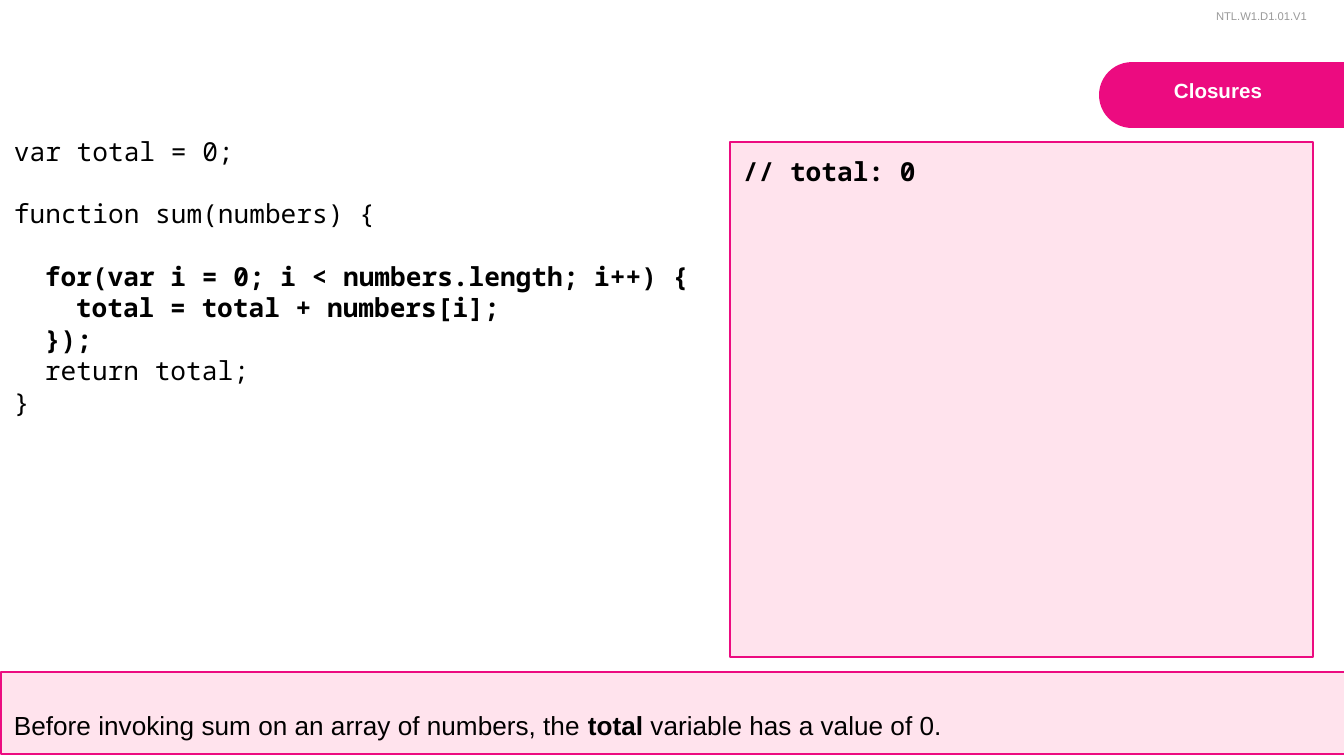
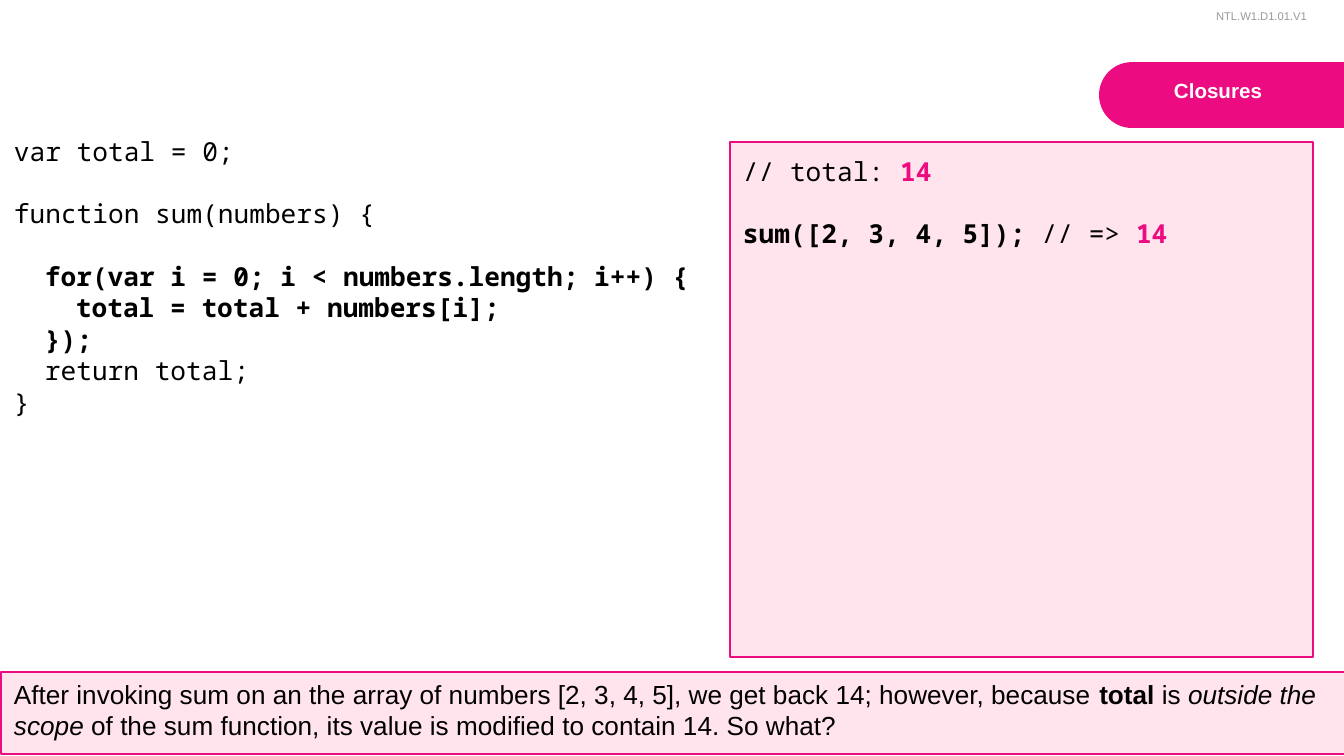
from typing import NamedTuple

from lxml.etree import SubElement
from pptx import Presentation
from pptx.dml.color import RGBColor
from pptx.enum.shapes import MSO_SHAPE as Shape
from pptx.enum.text import MSO_ANCHOR as Anchor, MSO_AUTO_SIZE as AutoSize, PP_ALIGN as Align
from pptx.oxml.ns import qn
from pptx.util import Emu, Pt

PINK = RGBColor(0xEC, 0x0B, 0x80)
TINT = RGBColor(0xFF, 0x7C, 0xAD)
BLACK = RGBColor(0, 0, 0)
GREY = RGBColor(0x99, 0x99, 0x99)
WHITE = RGBColor(0xFF, 0xFF, 0xFF)
SANS, MONO = "Arial", "Noto Sans Mono"
BODY_SIZE = 14
BLANK_LINE = Pt(16.8)
TINT_OPACITY = 21000
SLIDE_BOX = (0, 0, 1344, 756)
INSET = 13
INDENT_STEP = 31


class Run(NamedTuple):
    """A stretch of text in one style."""
    text: str
    bold: bool = False
    italic: bool = False
    color: RGBColor = BLACK


class Line(NamedTuple):
    """A paragraph with its indent depth and whether a gap precedes it."""
    runs: list
    depth: int = 0
    gap: bool = False


class Step(NamedTuple):
    """The content that changes from slide to slide."""
    console: list
    caption: list
    code_height: int


CODE = [
    Line([Run("var total = 0;")]),
    Line([Run("function sum(numbers) {")], gap=True),
    Line([Run("for(var i = 0; i < numbers.length; i++) {", bold=True)], depth=1, gap=True),
    Line([Run("total = total + numbers[i];", bold=True)], depth=2),
    Line([Run("});", bold=True)], depth=1),
    Line([Run("return total;")], depth=1),
    Line([Run("}")]),
]

STEPS = [
    Step(
        console=[Line([Run("// total: 0", bold=True)])],
        caption=[
            Run("Before invoking sum on an array of numbers, the "),
            Run("total", bold=True),
            Run(" variable has a value of 0."),
        ],
        code_height=407,
    ),
    Step(
        console=[
            Line([Run("// total: "), Run("14", bold=True, color=PINK)]),
            Line([Run("sum([2, 3, 4, 5]); ", bold=True), Run("// => "),
                  Run("14", bold=True, color=PINK)], gap=True),
        ],
        caption=[
            Run("After invoking sum on an the array of numbers [2, 3, 4, 5], "
                "we get back 14; however, because "),
            Run("total", bold=True),
            Run(" is "),
            Run("outside the scope", italic=True),
            Run(" of the sum function, its value is modified to contain 14. So what?"),
        ],
        code_height=503,
    ),
]


def px(length):
    """Turn pixels into EMU."""
    return Emu(round(length * 9144000 / SLIDE_BOX[2]))


def write(frame, lines, font=SANS, size=BODY_SIZE, align=Align.LEFT, anchor=Anchor.TOP):
    """Fill a text frame with styled lines."""
    frame.word_wrap = True
    frame.vertical_anchor = anchor
    frame.margin_left = frame.margin_right = px(INSET)
    frame.margin_top = frame.margin_bottom = px(INSET)
    for number, line in enumerate(lines):
        paragraph = frame.add_paragraph() if number else frame.paragraphs[0]
        paragraph.alignment = align
        if line.gap:
            paragraph.space_before = BLANK_LINE
        if line.depth:
            properties = paragraph._p.get_or_add_pPr()
            properties.set("marL", str(px(line.depth * INDENT_STEP)))
            properties.set("indent", "0")
        for part in line.runs:
            run = paragraph.add_run()
            run.text = part.text
            run.font.name = font
            run.font.size = Pt(size)
            run.font.bold = part.bold
            run.font.italic = part.italic
            run.font.color.rgb = part.color


def add_label(slide, box, lines, **style):
    """Place bare text that grows with its content."""
    frame = slide.shapes.add_textbox(*map(px, box)).text_frame
    write(frame, lines, **style)
    frame.auto_size = AutoSize.SHAPE_TO_FIT_TEXT
    return frame


def add_panel(slide, box, lines, **style):
    """Place a tinted, outlined panel with text."""
    panel = slide.shapes.add_shape(Shape.RECTANGLE, *map(px, box))
    panel.shadow.inherit = False
    panel.fill.solid()
    panel.fill.fore_color.rgb = TINT
    tint = panel.fill._xPr.find(qn("a:solidFill"))[0]
    SubElement(tint, qn("a:alpha"), val=str(TINT_OPACITY))
    panel.line.color.rgb = PINK
    panel.line.width = Pt(0.75)
    write(panel.text_frame, lines, **style)


def add_title_tab(slide, box):
    """Draw the tab, rounded on its left, with the topic title."""
    left, top, width, height = box
    shift = (width - height) // 2
    tab = slide.shapes.add_shape(
        Shape.ROUND_2_SAME_RECTANGLE,
        *map(px, (left + shift, top - shift, height, width)))
    tab.rotation = 270
    tab.adjustments[0], tab.adjustments[1] = 0.5, 0
    tab.shadow.inherit = False
    tab.fill.solid()
    tab.fill.fore_color.rgb = PINK
    tab.line.fill.background()
    add_label(slide, (left - 16, top + 4, width + 30, height - 14),
              [Line([Run("Closures ", bold=True, color=WHITE)])],
              size=11, align=Align.CENTER)


def add_step_slide(deck, box, step):
    """Lay out one step: tab, version, caption, console and code."""
    left, top, width, height = box
    slide = deck.slides.add_slide(deck.slide_layouts[6])
    slide.background.fill.solid()
    slide.background.fill.fore_color.rgb = WHITE
    add_title_tab(slide, (left + width - 245, top + 62, 246, 66))
    version = add_label(slide, (left + width - 141, top, 130, 40),
                        [Line([Run("NTL.W1.D1.01.V1", color=GREY)])], size=6)
    version.paragraphs[0].line_spacing = 1.15
    add_panel(slide, (left + 1, top + height - 84, width, 82),
              [Line(step.caption)], anchor=Anchor.BOTTOM)
    add_panel(slide, (left + 730, top + 142, 583, 515), step.console, font=MONO)
    add_label(slide, (left + 1, top + 122, 730, step.code_height), CODE, font=MONO)


def main():
    """Build and save the deck."""
    deck = Presentation()
    deck.slide_width, deck.slide_height = map(px, SLIDE_BOX[2:])
    for step in STEPS:
        add_step_slide(deck, SLIDE_BOX, step)
    deck.save("out.pptx")


if __name__ == "__main__":
    main()
